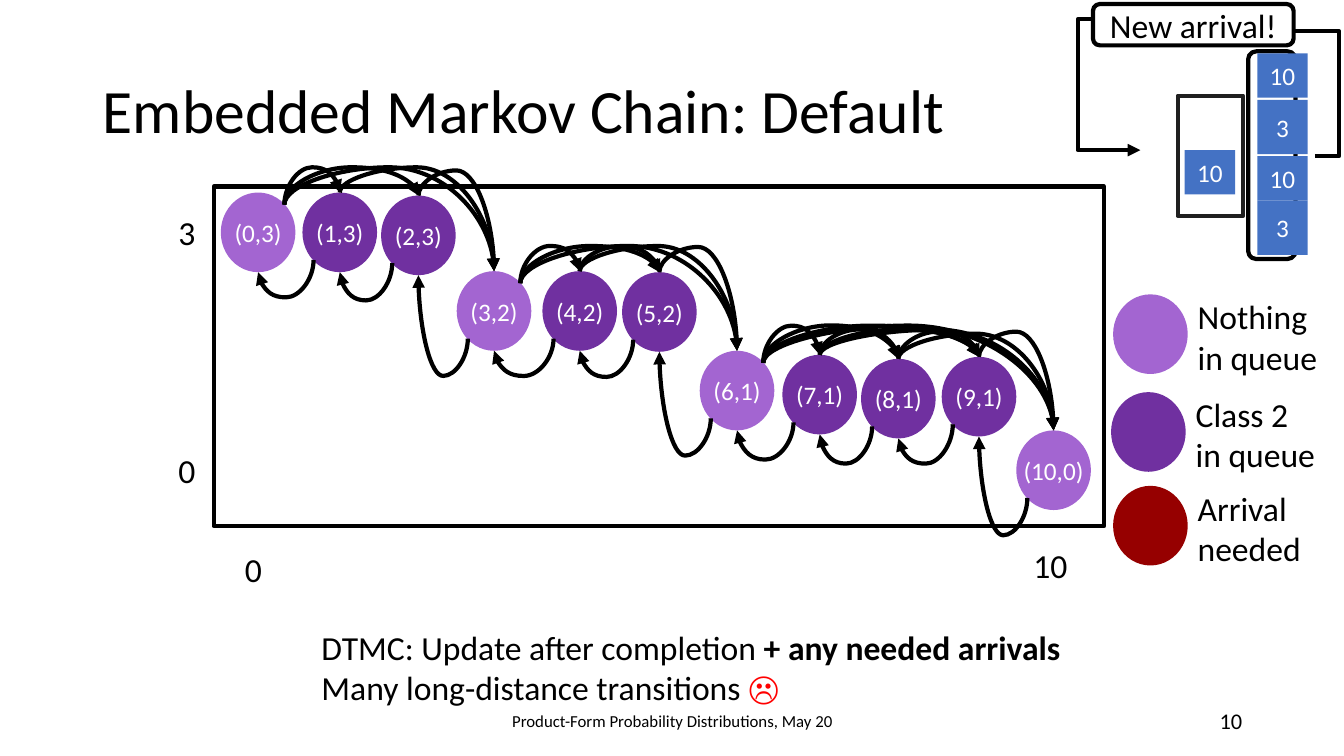
from itertools import combinations

from lxml.etree import SubElement
from pptx import Presentation
from pptx.dml.color import RGBColor
from pptx.enum.shapes import MSO_CONNECTOR, MSO_SHAPE
from pptx.enum.text import MSO_ANCHOR, PP_ALIGN
from pptx.oxml.ns import qn
from pptx.util import Inches, Pt

LIGHT, DARK, RED, BLUE = "A365D1", "7030A0", "960000", "4472C4"
BLACK, WHITE = "000000", "FFFFFF"
STATE_W, STATE_H = 0.74, 0.79
SITE_X, SITE_Y = 0.11, 0.12  # diagonal points of an ellipse, from its frame
BULGE = 0.25

TITLE = "Embedded Markov Chain: Default"
FOOTER = "Product-Form Probability Distributions, May 20"
# rows of the chain: second coordinate, then the left and top of each state
ROWS = [
    (3, [(2.19, 1.91), (3, 1.91), (3.78, 1.94)]),
    (2, [(4.53, 2.69), (5.38, 2.69), (6.17, 2.7)]),
    (1, [(6.94, 3.48), (7.76, 3.52), (8.54, 3.56), (9.34, 3.54)]),
    (0, [(10.08, 4.27)]),
]
UNLINKED = {(1, 2)}
AXIS_LABELS = [("3", 1.67, 2.05), ("0", 1.67, 4.41), ("0", 2.33, 5.4), ("10", 10.15, 5.36)]
LEGEND = [
    ("Nothing in queue", LIGHT, 11.04, 2.92),
    ("Class 2\vin queue", DARK, 11.02, 3.89),
    ("Arrival needed", RED, 11.04, 4.82),
]
NOTES = [
    [("DTMC: Update after completion ", {}), ("+ any needed arrivals", {"bold": True})],
    [("Many long-distance transitions ", {}), ("☹", {"bold": True, "color": "FF0000"})],
]
JOBS = [  # text, left, top, height
    ("10", 11.75, 1.49, 0.44),
    ("10", 12.47, 0.53, 0.44),
    ("3", 12.47, 0.99, 0.54),
    ("10", 12.47, 1.55, 0.44),
    ("3", 12.47, 1.99, 0.54),
]


def rgb(value):
    return RGBColor.from_string(value)


def write(shape, paragraphs, size=24, color=BLACK, align=PP_ALIGN.LEFT,
          anchor=MSO_ANCHOR.TOP, wrap=True, inset=None, spacing=None):
    """Fill a shape with a string, or with paragraphs of (text, format) spans."""
    frame = shape.text_frame
    frame.word_wrap = wrap
    frame.vertical_anchor = anchor
    if inset is not None:
        frame.margin_left = frame.margin_right = Inches(inset)
        frame.margin_top = frame.margin_bottom = Inches(inset)
    if isinstance(paragraphs, str):
        paragraphs = [[(paragraphs, {})]]
    for number, spans in enumerate(paragraphs):
        para = frame.add_paragraph() if number else frame.paragraphs[0]
        para.alignment = align
        if spacing:
            para.line_spacing = spacing
        for text, style in spans:
            for part, line in enumerate(text.split("\v")):
                if part:
                    para.add_line_break()
                span = para.add_run()
                span.text = line
                span.font.name = "Calibri"
                span.font.size = Pt(size)
                span.font.bold = style.get("bold", False)
                span.font.color.rgb = rgb(style.get("color", color))


def add_text(page, text, left, top, width, height, **style):
    box = page.shapes.add_textbox(*map(Inches, (left, top, width, height)))
    write(box, text, **style)


def add_box(page, kind, left, top, width, height, fill=None, line=None):
    shape = page.shapes.add_shape(kind, *map(Inches, (left, top, width, height)))
    shape.shadow.inherit = False
    if fill:
        shape.fill.solid()
        shape.fill.fore_color.rgb = rgb(fill)
    else:
        shape.fill.background()
    if line:
        shape.line.color.rgb = rgb(line)
        shape.line.width = Pt(3)
    else:
        shape.line.fill.background()
    return shape


def add_arrow(page, kind, start, end, bend, vertical):
    """Three-part connector whose middle part lies at bend; vertical means it leaves upright."""
    (x1, y1), (x2, y2) = start, end
    dx, dy = x2 - x1, y2 - y1
    if vertical:
        width, height = abs(dy), abs(dx)
        share = (bend - y1) / dy
        turn = 270 if dx > 0 and dy > 0 else 90
        flip_h = dx > 0 or dy < 0
        flip_v = dx > 0 and dy < 0
    else:
        width, height = abs(dx), abs(dy)
        share = (bend - x1) / dx
        turn, flip_h, flip_v = 180, False, dy > 0
    left, top = (x1 + x2 - width) / 2, (y1 + y2 - height) / 2
    arrow = page.shapes.add_connector(
        kind, *map(Inches, (left, top, left + width, top + height)))
    arrow.line.color.rgb = rgb(BLACK)
    arrow.line.width = Pt(3)
    properties = arrow._element.spPr
    frame = properties.find(qn("a:xfrm"))
    frame.set("rot", str(turn * 60000))
    frame.set("flipH", str(int(flip_h)))
    frame.set("flipV", str(int(flip_v)))
    geometry = properties.find(qn("a:prstGeom"))
    guides = geometry.find(qn("a:avLst"))
    if guides is None:
        guides = SubElement(geometry, qn("a:avLst"))
    SubElement(guides, qn("a:gd"), name="adj1", fmla=f"val {round(share * 100000)}")
    SubElement(properties.find(qn("a:ln")), qn("a:tailEnd"), type="triangle")
    SubElement(properties, qn("a:effectLst"))


def draw_chain(page):
    add_box(page, MSO_SHAPE.RECTANGLE, 2.12, 1.85, 8.83, 3.37, line=BLACK)
    for text, left, top in AXIS_LABELS:
        add_text(page, text, left, top, 0.6, 0.5)

    states, row_starts = [], []
    for second, places in ROWS:
        row_starts.append(len(states))
        for place in places:
            fill = LIGHT if place == places[0] else DARK
            state = add_box(page, MSO_SHAPE.OVAL, *place, STATE_W, STATE_H, fill=fill)
            write(state, f"({len(states)},{second})", size=18, color=WHITE, wrap=False,
                  align=PP_ALIGN.CENTER, anchor=MSO_ANCHOR.MIDDLE, inset=0)
            states.append(place)

    middle = STATE_W / 2
    for first, following in zip(row_starts, row_starts[1:]):
        for source, target in combinations(range(first, following + 1), 2):
            if (source, target) in UNLINKED:
                continue
            (x1, y1), (x2, y2) = states[source], states[target]
            if source == first:
                start = (x1 + STATE_W - SITE_X, y1 + SITE_Y)
            else:
                start = (x1 + middle, y1)
            add_arrow(page, MSO_CONNECTOR.CURVE, start, (x2 + middle, y2),
                      min(y1, y2) - BULGE, vertical=True)
    for (x2, y2), (x1, y1) in zip(states, states[1:]):
        add_arrow(page, MSO_CONNECTOR.CURVE, (x1 + SITE_X, y1 + STATE_H - SITE_Y),
                  (x2 + middle, y2 + STATE_H), max(y1, y2) + STATE_H + BULGE, vertical=True)


def draw_queue(page):
    centred = {"align": PP_ALIGN.CENTER, "anchor": MSO_ANCHOR.MIDDLE}
    add_box(page, MSO_SHAPE.ROUNDED_RECTANGLE, 12.38, 0.51, 0.47, 2.06, line=BLACK)
    add_box(page, MSO_SHAPE.RECTANGLE, 11.68, 0.95, 0.65, 1.19, fill=WHITE, line="202020")
    add_arrow(page, MSO_CONNECTOR.ELBOW, (12.82, 0.19), (11.31, 1.49), 10.69, vertical=False)
    add_arrow(page, MSO_CONNECTOR.ELBOW, (13.04, 1.55), (11.73, 0.31), 13.28, vertical=False)
    arrival = add_box(page, MSO_SHAPE.ROUNDED_RECTANGLE, 10.84, 0.04, 1.99, 0.41,
                      fill=WHITE, line=BLACK)
    write(arrival, "New arrival!", **centred)
    for text, left, top, height in JOBS:
        job = add_box(page, MSO_SHAPE.RECTANGLE, left, top, 0.5, height, fill=BLUE)
        write(job, text, size=18, color=WHITE, **centred)


def main():
    deck = Presentation()
    deck.slide_width, deck.slide_height = Inches(13.33), Inches(7.5)
    page = deck.slides.add_slide(deck.slide_layouts[5])
    title = page.shapes.title
    title.left, title.top, title.width, title.height = map(Inches, (0.92, 0.4, 11.5, 1.45))
    write(title, TITLE, size=44, anchor=MSO_ANCHOR.MIDDLE, spacing=0.9)

    draw_chain(page)
    draw_queue(page)
    for text, fill, left, top in LEGEND:
        add_box(page, MSO_SHAPE.OVAL, left, top, STATE_W, STATE_H, fill=fill)
        add_text(page, text, left + STATE_W, top - 0.03, 1.55, 0.91)
    add_text(page, NOTES, 3.09, 6.17, 7.65, 0.91)
    add_text(page, FOOTER, 4.42, 6.95, 4.5, 0.4, size=12,
             align=PP_ALIGN.CENTER, anchor=MSO_ANCHOR.MIDDLE)
    add_text(page, "10", 9.42, 6.95, 3, 0.4, size=16,
             align=PP_ALIGN.RIGHT, anchor=MSO_ANCHOR.MIDDLE)
    deck.save("out.pptx")


if __name__ == "__main__":
    main()
